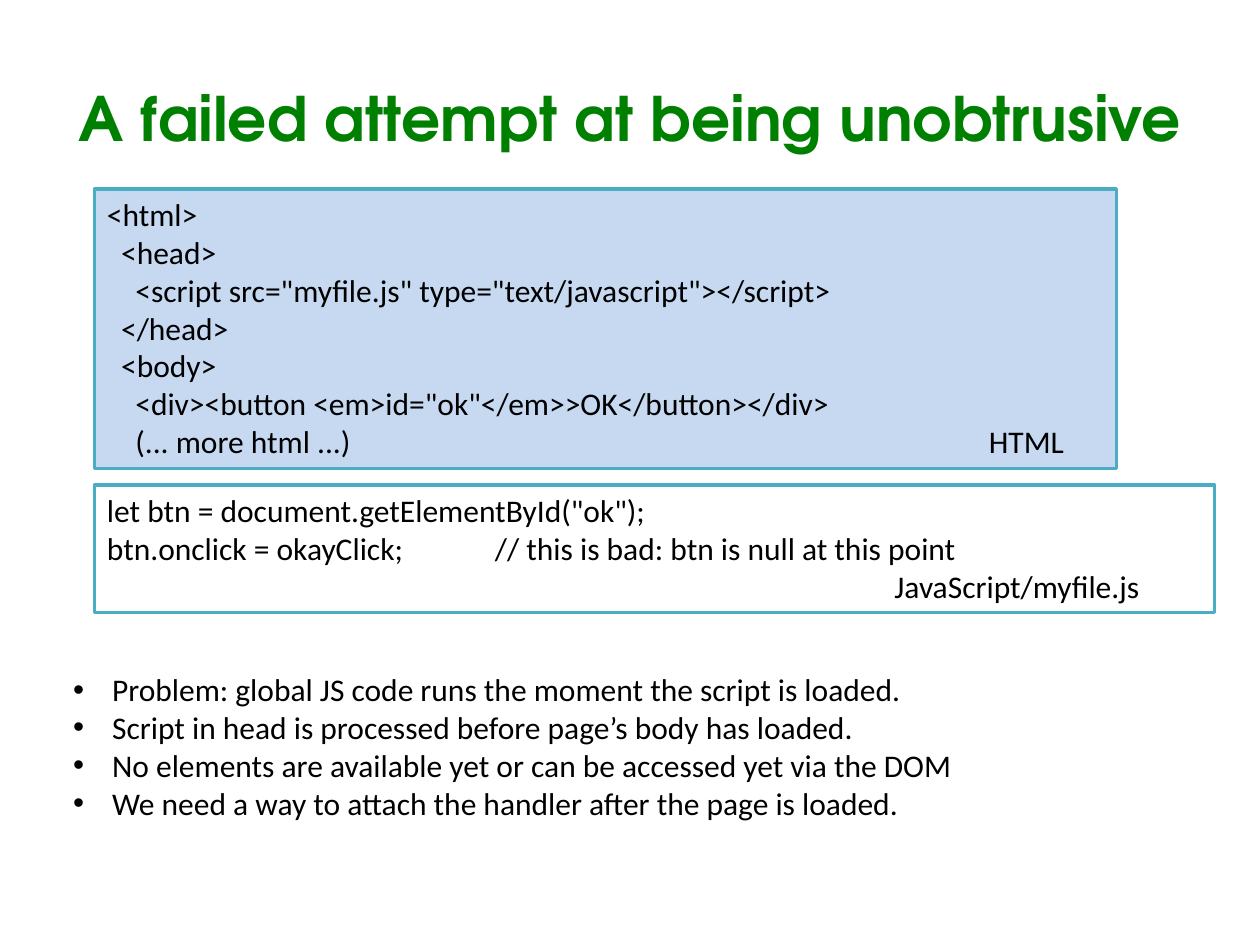
from lxml import etree
from pptx import Presentation
from pptx.dml.color import RGBColor
from pptx.enum import shapes, text
from pptx.oxml import ns
from pptx.util import Inches, Pt

COLORS = {"title": "008000", "text": "000000", "border": "4BACC6",
          "html": "C6D9F1", "script": "FFFFFF"}


def format_paragraph(paragraph, font_name, size, color, bold=False):
    paragraph.space_before = Pt(0)
    for run in paragraph.runs:
        run.font.name = font_name
        run.font.size = Pt(size)
        run.font.bold = bold
        run.font.color.rgb = RGBColor.from_string(COLORS[color])


def add_tab_stop(paragraph, position):
    tabs = etree.SubElement(paragraph._p.get_or_add_pPr(), ns.qn("a:tabLst"))
    etree.SubElement(tabs, ns.qn("a:tab"), pos=str(Inches(position)), algn="l")


presentation = Presentation()
presentation.slide_width = Inches(10)
presentation.slide_height = Inches(7.5)
slide = presentation.slides.add_slide(presentation.slide_layouts[1])

# Title
title = slide.shapes.title
title.left, title.top, title.width, title.height = map(Inches, (0.5, 0.3, 9, 1.25))
title.text_frame.text = "A failed attempt at being unobtrusive"
title.text_frame.auto_size = text.MSO_AUTO_SIZE.NONE
title.text_frame.vertical_anchor = text.MSO_ANCHOR.MIDDLE
title.text_frame.paragraphs[0].alignment = text.PP_ALIGN.CENTER
format_paragraph(title.text_frame.paragraphs[0], "TeX Gyre Adventor", 35, "title", bold=True)

# Code boxes: fill, top, width, height, lines as (code, tab stop)
code_boxes = [
    ("html", 1.5, 8.11, 2.22, [
        ("<html>", None),
        ("  <head>", None),
        ('    <script src="myfile.js" type="text/javascript"></script>', None),
        ("  </head>", None),
        ("  <body>", None),
        ('    <div><button <em>id="ok"</em>>OK</button></div>', None),
        ("    (... more html ...)\tHTML", 7),
    ]),
    ("script", 3.85, 8.89, 1.01, [
        ('let btn = document.getElementById("ok");', None),
        ("btn.onclick = okayClick;\t// this is bad: btn is null at this point", 3.08),
        ("\tJavaScript/myfile.js", 6.25),
    ]),
]
for fill, top, width, height, lines in code_boxes:
    box = slide.shapes.add_shape(shapes.MSO_SHAPE.RECTANGLE, Inches(0.75), Inches(top),
                                 Inches(width), Inches(height))
    box.shadow.inherit = False
    box.fill.solid()
    box.fill.fore_color.rgb = RGBColor.from_string(COLORS[fill])
    box.line.color.rgb = RGBColor.from_string(COLORS["border"])
    box.line.width = Pt(2)
    frame = box.text_frame
    frame.word_wrap = True
    frame.vertical_anchor = text.MSO_ANCHOR.TOP
    frame.text = "\n".join(code for code, _ in lines)
    for paragraph, (_, tab_stop) in zip(frame.paragraphs, lines):
        paragraph.alignment = text.PP_ALIGN.LEFT
        format_paragraph(paragraph, "Calibri", 18, "text")
        if tab_stop:
            add_tab_stop(paragraph, tab_stop)

# Explanation list
body = slide.placeholders[1]
body.left, body.top, body.width, body.height = map(Inches, (0.48, 5.27, 8.25, 1.31))
body.text_frame.text = "\n".join([
    "Problem: global JS code runs the moment the script is loaded.",
    "Script in head is processed before page’s body has loaded.",
    "No elements are available yet or can be accessed yet via the DOM",
    "We need a way to attach the handler after the page is loaded.",
])
body.text_frame.auto_size = text.MSO_AUTO_SIZE.NONE
for paragraph in body.text_frame.paragraphs:
    format_paragraph(paragraph, "Calibri", 18, "text")
    properties = paragraph._p.get_or_add_pPr()
    properties.set("marL", str(Inches(0.31)))
    properties.set("indent", str(-Inches(0.31)))
    etree.SubElement(properties, ns.qn("a:buFont"), typeface="Arial")
    etree.SubElement(properties, ns.qn("a:buChar"), char="•")

presentation.save("out.pptx")
